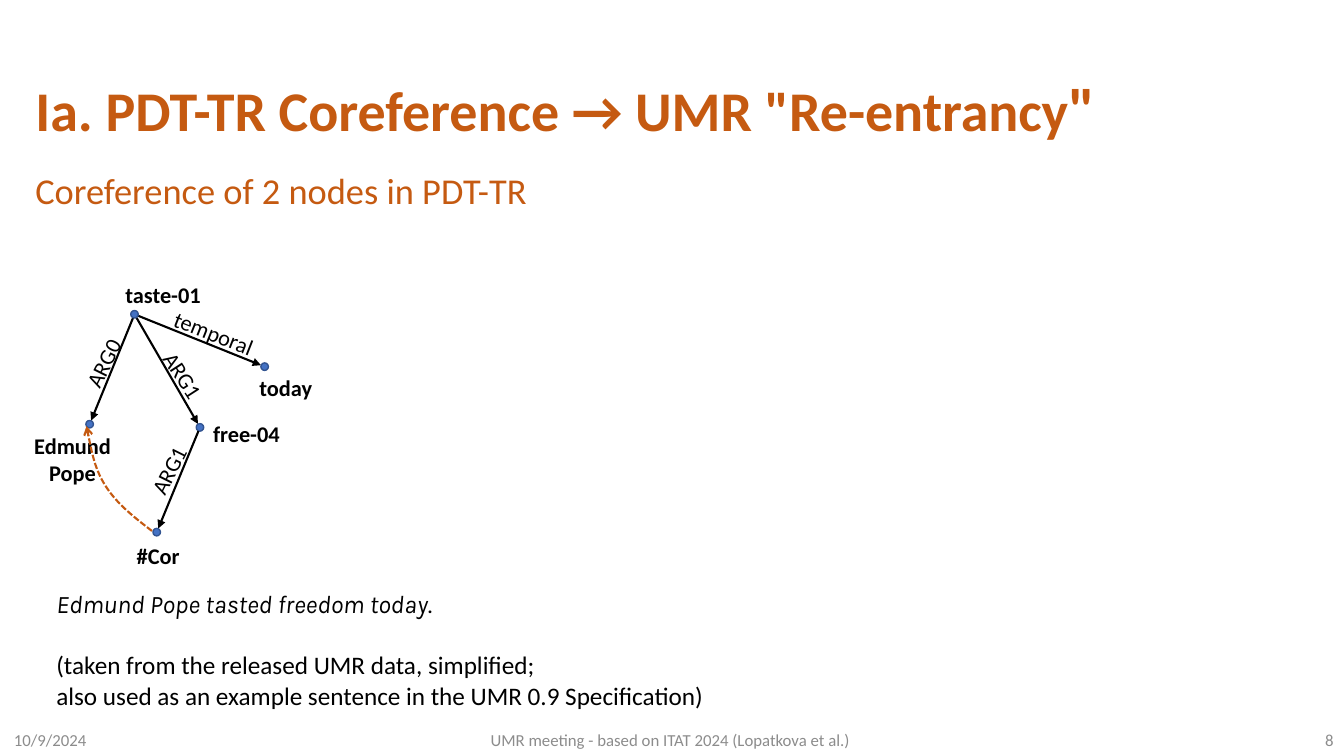
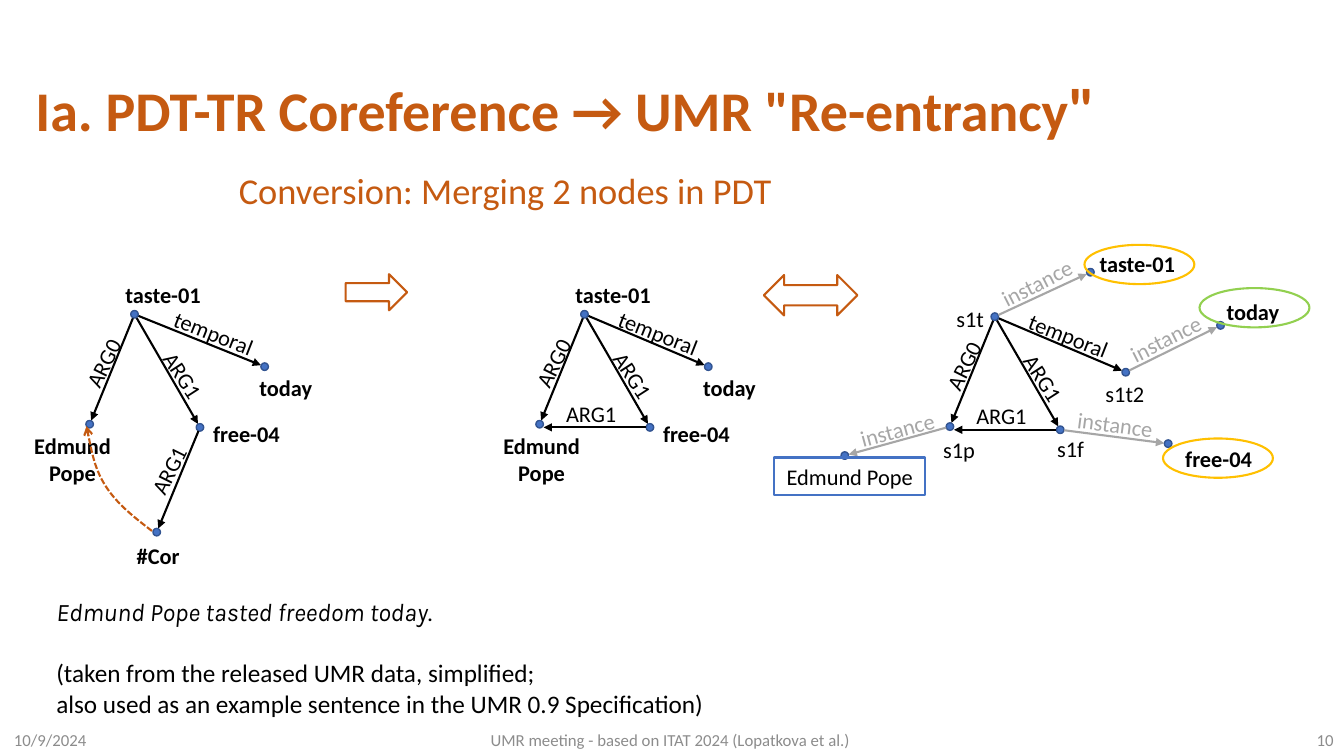
from math import hypot
from pptx import Presentation
from pptx.dml.color import RGBColor
from pptx.enum.dml import MSO_LINE
from pptx.enum.shapes import MSO_CONNECTOR, MSO_SHAPE
from pptx.enum.text import MSO_ANCHOR, MSO_AUTO_SIZE, PP_ALIGN
from pptx.oxml.ns import qn
from pptx.util import Cm, Pt
from lxml.etree import SubElement

COLORS = {
    "accent": "C55A11", "text": "000000", "muted": "A6A6A6", "footer": "8C8C8C",
    "node": "4472C4", "node_line": "325491", "event": "FFC000", "time": "92D050",
}
TITLE = {"size": Pt(40), "bold": True, "name": "Calibri"}
SUBTITLE = {"size": Pt(26), "name": "Calibri"}
LABEL = {"size": Pt(16), "name": "Calibri"}
CONCEPT = {**LABEL, "bold": True}
EXAMPLE = {"size": Pt(18), "name": "Karla"}
SOURCE = {"size": Pt(18), "name": "Calibri"}
FOOTER = {"size": Pt(12), "name": "Calibri"}
LABEL_H = 0.94
DOT = 0.19
GAP = 0.1


def rgb(name):
    return RGBColor.from_string(COLORS[name])


def apply(obj, values):
    for key, value in values.items():
        setattr(obj, key, value)


def add_run(p, text, font, color="text", **extra):
    r = p.add_run()
    r.text = text
    apply(r.font, {**font, **extra})
    r.font.color.rgb = rgb(color)


def add_text(s, x, y, w, h, text, font, color="text", align=PP_ALIGN.LEFT, anchor=MSO_ANCHOR.TOP):
    sp = s.shapes.add_textbox(Cm(x), Cm(y), Cm(w), Cm(h))
    apply(sp.text_frame, {"word_wrap": True, "vertical_anchor": anchor})
    p = sp.text_frame.paragraphs[0]
    p.alignment = align
    add_run(p, text, font, color)
    return sp


def add_outline(s, kind, x, y, w, h, color, width=1.5, fill=None):
    sp = s.shapes.add_shape(kind, Cm(x), Cm(y), Cm(w), Cm(h))
    sp.shadow.inherit = False
    if fill:
        sp.fill.solid()
        sp.fill.fore_color.rgb = rgb(fill)
    else:
        sp.fill.background()
    set_line(sp, color, width)
    return sp


def set_line(sp, color, width=1.5, head=None):
    sp.line.color.rgb = rgb(color)
    sp.line.width = Pt(width)
    if head:
        SubElement(sp._element.spPr.find(qn("a:ln")), qn("a:tailEnd"), type=head)


def add_dot(s, center):
    x, y = center
    add_outline(s, MSO_SHAPE.OVAL, x - DOT / 2, y - DOT / 2, DOT, DOT, "node_line", 1, "node")


def add_edge(s, start, end, color="text"):
    (x1, y1), (x2, y2) = start, end
    length = hypot(x2 - x1, y2 - y1)
    dx, dy = (x2 - x1) * GAP / length, (y2 - y1) * GAP / length
    line = s.shapes.add_connector(
        MSO_CONNECTOR.STRAIGHT, Cm(x1 + dx), Cm(y1 + dy), Cm(x2 - dx), Cm(y2 - dy))
    set_line(line, color, head="triangle")
    SubElement(line._element.spPr, qn("a:effectLst"))


def add_edge_label(s, x, y, text, angle=0, color="text", w=2.03, h=0.85):
    sp = add_text(s, x - w / 2, y - h / 2, w, h, text, LABEL, color)
    sp.rotation = angle


def add_curve(s, points):
    start, *rest = [(Cm(x), Cm(y)) for x, y in points]
    builder = s.shapes.build_freeform(*start)
    builder.add_line_segments(rest, close=False)
    sp = builder.convert_to_shape()
    sp.shadow.inherit = False
    sp.fill.background()
    sp.line.dash_style = MSO_LINE.SQUARE_DOT
    set_line(sp, "accent", head="arrow")
    segments = list(sp._element.iter(qn("a:lnTo")))
    outline = segments[0].getparent()
    for i in range(0, len(segments), 3):
        bezier = SubElement(outline, qn("a:cubicBezTo"))
        for segment in segments[i:i + 3]:
            bezier.append(segment[0])
            outline.remove(segment)


def add_core(s, x, y, today, temporal_x):
    nodes = {
        "taste": (x, y), "pope": (x - 1.13, y + 2.77),
        "free": (x + 1.65, y + 2.85), "today": (x + today[0], y + today[1]),
    }
    for target in ("pope", "free", "today"):
        add_edge(s, nodes["taste"], nodes[target])
    add_edge_label(s, x - 0.77, y + 1.1, "ARG0", 296.5)
    add_edge_label(s, x + 1.33, y + 1.63, "ARG1", 57.2)
    add_edge_label(s, x + temporal_x, y + 0.5, "temporal", 21.6, w=2.68, h=0.95)
    for center in nodes.values():
        add_dot(s, center)
    return nodes


def add_concepts(s, nodes, pope_x):
    x, y = nodes["taste"]
    for text, left, top, w in (
        ("taste-01", x - 0.48, y - 0.97, 2.65),
        ("free-04", x + 1.73, y + 2.54, 2.35),
        ("today", nodes["today"][0] - 0.38, y + 1.38, 2.35),
    ):
        add_text(s, left, top, w, LABEL_H, text, CONCEPT)
    add_text(s, x + pope_x - 1.7, y + 2.85, 3.4, LABEL_H, "Edmund Pope", CONCEPT,
             align=PP_ALIGN.CENTER)


def add_merged_edge(s, nodes):
    x, y = nodes["taste"]
    add_edge(s, nodes["free"], (nodes["pope"][0], nodes["free"][1]))
    add_edge_label(s, x + 0.3, y + 2.46, "ARG1")


def add_coreference_graph(s):
    x, y = 3.39, 7.92
    nodes = add_core(s, x, y, (3.28, 1.32), 2.04)
    add_concepts(s, nodes, -1.56)
    cor = (x + 0.56, y + 5.49)
    add_edge(s, nodes["free"], cor)
    add_edge_label(s, x + 0.88, y + 3.8, "ARG1", 296.5)
    add_dot(s, cor)
    add_text(s, x - 0.22, y + 5.61, 1.63, LABEL_H, "#Cor", CONCEPT, align=PP_ALIGN.CENTER)
    curve = [(0.44, 5.46), (0.01, 5.13), (-0.44, 4.78), (-0.72, 4.34),
             (-1, 3.91), (-1.1, 3.35), (-1.21, 2.82)]
    add_curve(s, [(x + dx, y + dy) for dx, dy in curve])


def add_merged_graph(s):
    nodes = add_core(s, 14.73, 7.92, (3.12, 1.32), 1.9)
    add_merged_edge(s, nodes)
    add_concepts(s, nodes, -1.08)


def add_umr_graph(s):
    nodes = add_core(s, 25.07, 7.98, (3.3, 1.4), 1.9)
    add_merged_edge(s, nodes)
    for node, dot, label, angle in (
        ("taste", (27.48, 6.86), (26.19, 7.1), 333.1),
        ("today", (30.76, 8.2), (29.44, 8.5), 333.1),
        ("free", (29.44, 11.18), (28.17, 10.71), 7.6),
        ("pope", (21.29, 11.48), (22.68, 10.81), 344.9),
    ):
        add_edge(s, nodes[node], dot, "muted")
        add_edge_label(s, *label, "instance", angle, "muted", 2.54, LABEL_H)
        add_dot(s, dot)
    for text, x, y in (("s1t", 23.85, 7.57), ("s1t2", 27.61, 9.45),
                       ("s1f", 26.39, 10.85), ("s1p", 23.52, 10.87)):
        add_text(s, x, y, 1.7, LABEL_H, text, LABEL)
    for text, color, x, y, dx, dy in (
        ("taste-01", "event", 27.33, 6.17, 0.13, 0),
        ("today", "time", 30.23, 7.26, 0.43, 0.13),
        ("free-04", "event", 29.31, 11.05, 0.31, 0.05),
    ):
        add_outline(s, MSO_SHAPE.OVAL, x, y, 2.77, 0.99, color)
        add_text(s, x + dx, y + dy, 2.6, LABEL_H, text, CONCEPT)
    sp = add_outline(s, MSO_SHAPE.RECTANGLE, 19.51, 11.53, 3.81, LABEL_H, "node")
    p = sp.text_frame.paragraphs[0]
    p.alignment = PP_ALIGN.CENTER
    add_run(p, "Edmund Pope", LABEL)


def add_example(s, y):
    sp = add_text(s, 1.17, y, 19.08, 3.33, "Edmund Pope tasted freedom today", EXAMPLE)
    tf = sp.text_frame
    tf.paragraphs[0].runs[0].font.italic = True
    add_run(tf.paragraphs[0], ".", EXAMPLE)
    for text, space in (
        ("(taken from the released UMR data, simplified;", 22),
        ("also used as an example sentence in the UMR 0.9 Specification)", 0),
    ):
        p = tf.add_paragraph()
        p.space_before = Pt(space)
        add_run(p, text, SOURCE)


def add_base(prs, subtitle, subtitle_x, number):
    s = prs.slides.add_slide(prs.slide_layouts[5])
    title = s.shapes.title
    apply(title, {"left": Cm(0.64), "top": Cm(0.84), "width": Cm(32.59), "height": Cm(3.68)})
    tf = title.text_frame
    apply(tf, {"word_wrap": True, "vertical_anchor": MSO_ANCHOR.MIDDLE,
               "auto_size": MSO_AUTO_SIZE.NONE})
    p = tf.paragraphs[0]
    p.alignment = PP_ALIGN.LEFT
    add_run(p, 'Ia. PDT-TR Coreference → UMR "Re-entrancy', TITLE, "accent")
    add_run(p, '"', TITLE, "accent", size=Pt(44))
    sp = add_text(s, subtitle_x, 3.99, 25, 1.6, subtitle, SUBTITLE, "accent")
    apply(sp.text_frame.paragraphs[0], {"line_spacing": 1.1, "space_before": Pt(6)})
    for text, x, w, align in (
        ("10/9/2024", 0.1, 7.62, PP_ALIGN.LEFT),
        ("UMR meeting - based on ITAT 2024 (Lopatkova et al.)", 11.18, 11.43, PP_ALIGN.CENTER),
        (number, 26.24, 7.62, PP_ALIGN.RIGHT),
    ):
        add_text(s, x, 18.14, w, 1.02, text, FOOTER, "footer", align, MSO_ANCHOR.MIDDLE)
    return s


def main():
    prs = Presentation()
    apply(prs, {"slide_width": Cm(33.87), "slide_height": Cm(19.05)})

    s = add_base(prs, "Coreference of 2 nodes in PDT-TR", 0.64, "8")
    add_coreference_graph(s)
    add_example(s, 14.71)

    s = add_base(prs, "Conversion: Merging 2 nodes in PDT", 5.77, "10")
    add_coreference_graph(s)
    add_merged_graph(s)
    add_umr_graph(s)
    add_outline(s, MSO_SHAPE.RIGHT_ARROW, 8.71, 6.91, 1.55, 0.91, "accent")
    add_outline(s, MSO_SHAPE.LEFT_RIGHT_ARROW, 19.25, 6.93, 2.36, 1.02, "accent")
    add_example(s, 14.91)

    prs.save("out.pptx")


if __name__ == "__main__":
    main()
